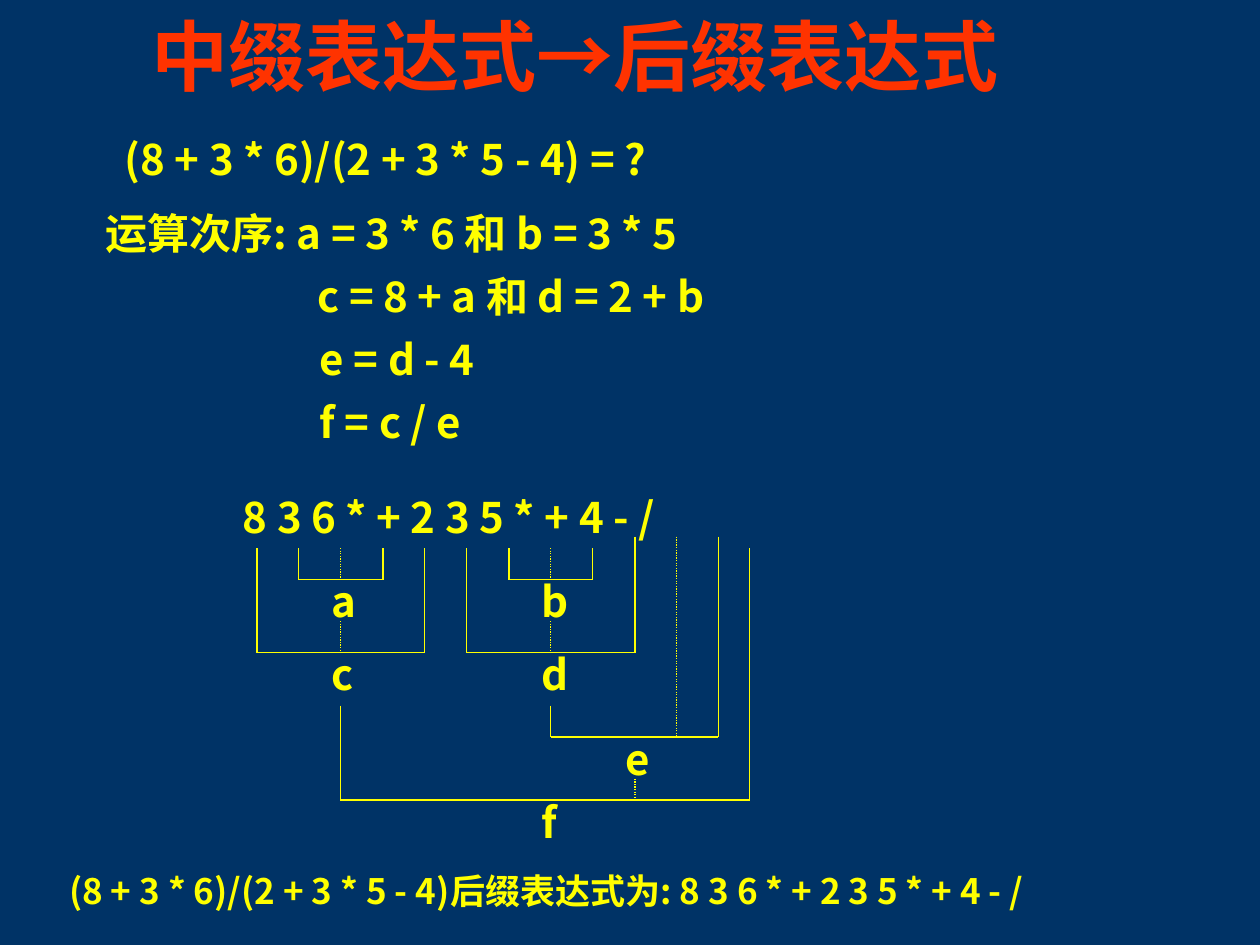
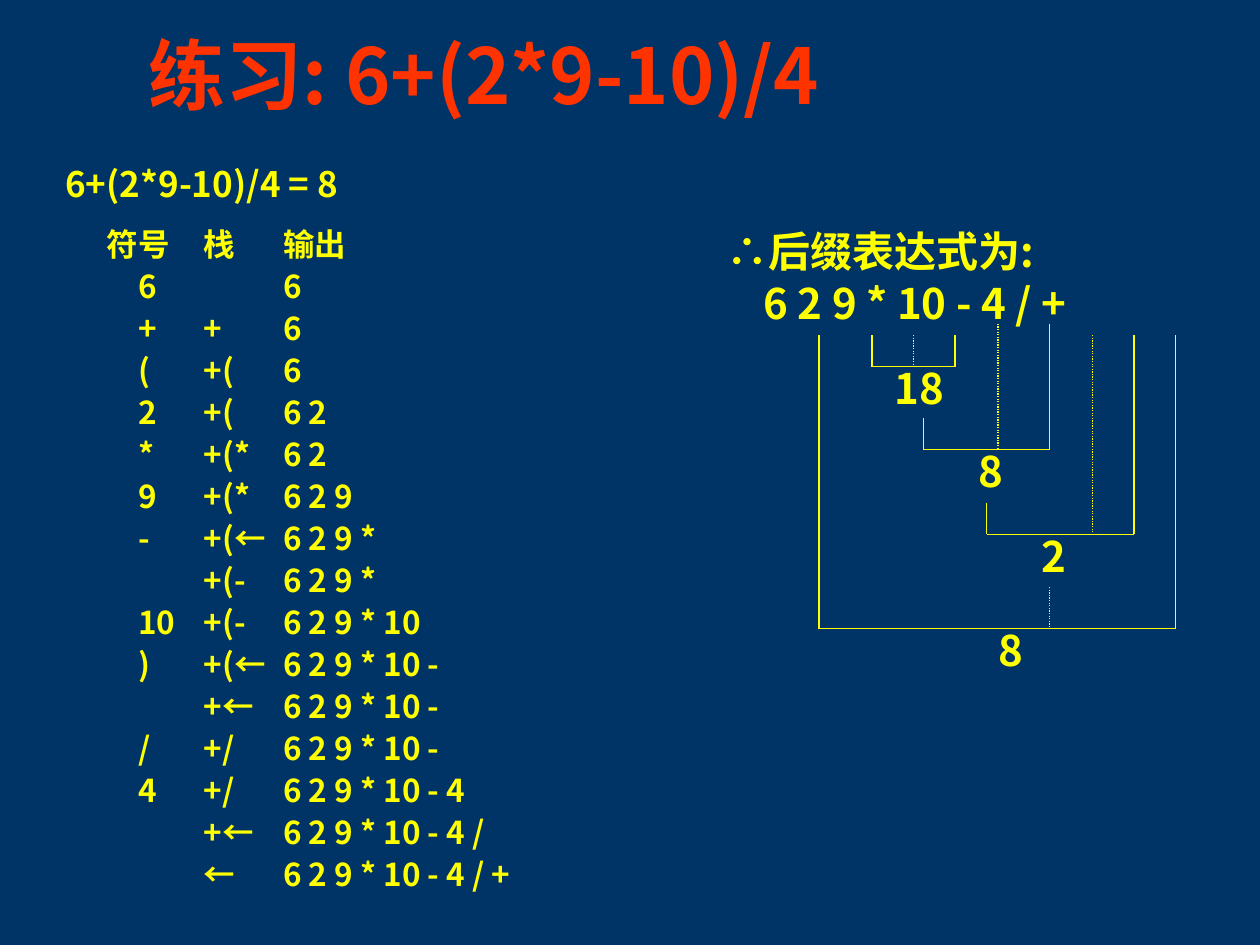
from lxml import etree
from pptx import Presentation
from pptx.dml.color import RGBColor
from pptx.enum.dml import MSO_LINE
from pptx.enum.shapes import MSO_CONNECTOR
from pptx.enum.text import MSO_ANCHOR, MSO_AUTO_SIZE, PP_ALIGN
from pptx.oxml.ns import qn
from pptx.util import Inches, Pt

NAVY = RGBColor(0x00, 0x33, 0x66)
YELLOW = RGBColor(0xFF, 0xFF, 0x00)
ORANGE_RED = RGBColor(0xFF, 0x33, 0x00)
FONT = "Noto Sans CJK SC"
STRAIGHT = MSO_CONNECTOR.STRAIGHT
DOTTED = MSO_LINE.ROUND_DOT
TITLE_ONLY = 5
INSET = 0.1

# Text boxes: text, (left, top, width, height), format
CONVERSION_TITLE = ("中缀表达式→后缀表达式", (1.1, 0.02, 7.57, 0.84))
CONVERSION_TEXTS = [
    ("(8 + 3 * 6)/(2 + 3 * 5 - 4) = ?", (0.15, 1.01, 6.81, 0.5), {"indent": 0.74}),
    ("运算次序: a = 3 * 6 和 b = 3 * 5", (0.74, 1.6, 5.63, 0.5), {}),
    ("c = 8 + a 和 d = 2 + b", (2.42, 2.1, 3.95, 0.5), {}),
    ("e = d - 4", (2.44, 2.6, 1.85, 0.5), {}),
    ("f = c / e", (2.44, 3.1, 1.85, 0.5), {}),
    ("8 3 6 * + 2 3 5 * + 4 - /", (1.83, 3.85, 4.54, 0.5), {}),
    ("(8 + 3 * 6)/(2 + 3 * 5 - 4)后缀表达式为: 8 3 6 * + 2 3 5 * + 4 - /",
     (0.45, 6.85, 9.58, 0.44), {"size": 20}),
]

# Brackets: label, label left, bottom, then (x, top) of the left operand,
# the dotted operator line and the right operand
CONVERSION_BRACKETS = [
    ("a", 2.53, 4.6, (2.37, 4.35), (2.7, 4.35), (3.04, 4.35)),
    ("b", 4.2, 4.6, (4.04, 4.35), (4.37, 4.35), (4.7, 4.35)),
    ("c", 2.53, 5.18, (2.04, 4.35), (2.7, 4.93), (3.37, 4.35)),
    ("d", 4.2, 5.18, (3.7, 4.35), (4.37, 4.93), (5.04, 4.26)),
    ("e", 4.87, 5.85, (4.37, 5.6), (5.37, 4.26), (5.7, 4.26)),
    ("f", 4.2, 6.35, (2.7, 5.6), (5.04, 6.18), (5.95, 4.35)),
]

EXERCISE_TITLE = ("练习: 6+(2*9-10)/4", (1.08, 0.17, 6.42, 0.84))
EXERCISE_TEXTS = [
    ("6+(2*9-10)/4 = 8", (0.42, 1.24, 2.75, 0.44), {"size": 20}),
    ("∴后缀表达式为:", (5.67, 1.74, 4.08, 0.5), {}),
    ("6 2 9 * 10 - 4 / +", (5.67, 2.15, 4.08, 0.5), {"indent": 0.29}),
]
EXERCISE_BRACKETS = [
    ("18", 7, 2.91, (6.92, 2.66), (7.25, 2.66), (7.58, 2.66)),
    ("8", 7.67, 3.57, (7.33, 3.32), (7.92, 2.57), (8.33, 2.57)),
    ("2", 8.17, 4.24, (7.83, 3.99), (8.67, 2.66), (9, 2.66)),
    ("8", 7.83, 4.99, (6.5, 2.66), (8.33, 4.66), (9.33, 2.66)),
]

# Stack trace: symbol, stack, output
TRACE_HEADER = ("符号", "栈", "输出")
TRACE_ROWS = [
    ("6", "", "6"),
    ("+", "+", "6"),
    ("(", "+(", "6"),
    ("2", "+(", "6 2"),
    ("*", "+(*", "6 2"),
    ("9", "+(*", "6 2 9"),
    ("-", "+(←", "6 2 9 *"),
    ("", "+(-", "6 2 9 *"),
    ("10", "+(-", "6 2 9 * 10"),
    (")", "+(←", "6 2 9 * 10 -"),
    ("", "+←", "6 2 9 * 10 -"),
    ("/", "+/", "6 2 9 * 10 -"),
    ("4", "+/", "6 2 9 * 10 - 4"),
    ("", "+←", "6 2 9 * 10 - 4 /"),
    ("", "←", "6 2 9 * 10 - 4 / +"),
]
TRACE_TOP, TRACE_STEP = 1.74, 1 / 3
TRACE_COLUMNS = (1.62, 2.25)


def write(shape, text, size=24, color=YELLOW, indent=0, tabs=()):
    """Fill the shape with one bold line; indent and tabs are in inches."""
    frame = shape.text_frame
    frame.word_wrap = True
    frame.auto_size = MSO_AUTO_SIZE.SHAPE_TO_FIT_TEXT
    frame.vertical_anchor = MSO_ANCHOR.TOP
    paragraph = frame.paragraphs[0]
    paragraph.alignment = PP_ALIGN.JUSTIFY
    properties = paragraph._p.get_or_add_pPr()
    if indent:
        properties.set("marL", str(Inches(indent)))
    if tabs:
        tab_list = etree.SubElement(properties, qn("a:tabLst"))
        for position in tabs:
            etree.SubElement(tab_list, qn("a:tab"), pos=str(Inches(position)), algn="l")
    run = paragraph.add_run()
    run.text = text
    run.font.size = Pt(size)
    run.font.bold = True
    run.font.name = FONT
    run.font.color.rgb = color
    etree.SubElement(run._r.get_or_add_rPr(), qn("a:ea"), typeface=FONT)


def add_text(slide, text, box, **text_format):
    write(slide.shapes.add_textbox(*map(Inches, box)), text, **text_format)


def add_line(slide, start, end, dotted=False):
    line = slide.shapes.add_connector(STRAIGHT, *map(Inches, start + end))
    line.line.color.rgb = YELLOW
    line.line.width = Pt(0.75)
    if dotted:
        line.line.dash_style = DOTTED
    etree.SubElement(line._element.spPr, qn("a:effectLst"))


def add_bracket(slide, label, label_left, bottom, left, operator, right):
    """Join two operands and their operator, with the result named below."""
    for top in (left, operator, right):
        add_line(slide, top, (top[0], bottom), dotted=top is operator)
    add_line(slide, (left[0], bottom), (right[0], bottom))
    label_width = 0.33 + 0.17 * len(label)
    add_text(slide, label, (label_left, bottom - 0.08, label_width, 0.5))


def add_trace_row(slide, index, cells, left):
    tabs = [column - left - INSET for column in TRACE_COLUMNS]
    box = (left, TRACE_TOP + index * TRACE_STEP, 5.17, 0.4)
    add_text(slide, "\t".join(cells), box, size=18, tabs=tabs)


def add_slide(presentation, title, texts, brackets):
    slide = presentation.slides.add_slide(presentation.slide_layouts[TITLE_ONLY])
    title_text, title_box = title
    title_shape = slide.shapes.title
    (title_shape.left, title_shape.top,
     title_shape.width, title_shape.height) = map(Inches, title_box)
    write(title_shape, title_text, size=44, color=ORANGE_RED)
    for text, box, text_format in texts:
        add_text(slide, text, box, **text_format)
    for bracket in brackets:
        add_bracket(slide, *bracket)
    return slide


def main():
    presentation = Presentation()
    presentation.slide_width = Inches(10)
    presentation.slide_height = Inches(7.5)
    background = presentation.slide_master.background.fill
    background.solid()
    background.fore_color.rgb = NAVY

    add_slide(presentation, CONVERSION_TITLE, CONVERSION_TEXTS, CONVERSION_BRACKETS)
    exercise = add_slide(presentation, EXERCISE_TITLE, EXERCISE_TEXTS, EXERCISE_BRACKETS)
    add_trace_row(exercise, 0, TRACE_HEADER, left=0.75)
    for index, cells in enumerate(TRACE_ROWS, start=1):
        add_trace_row(exercise, index, cells, left=1)

    presentation.save("out.pptx")


if __name__ == "__main__":
    main()
